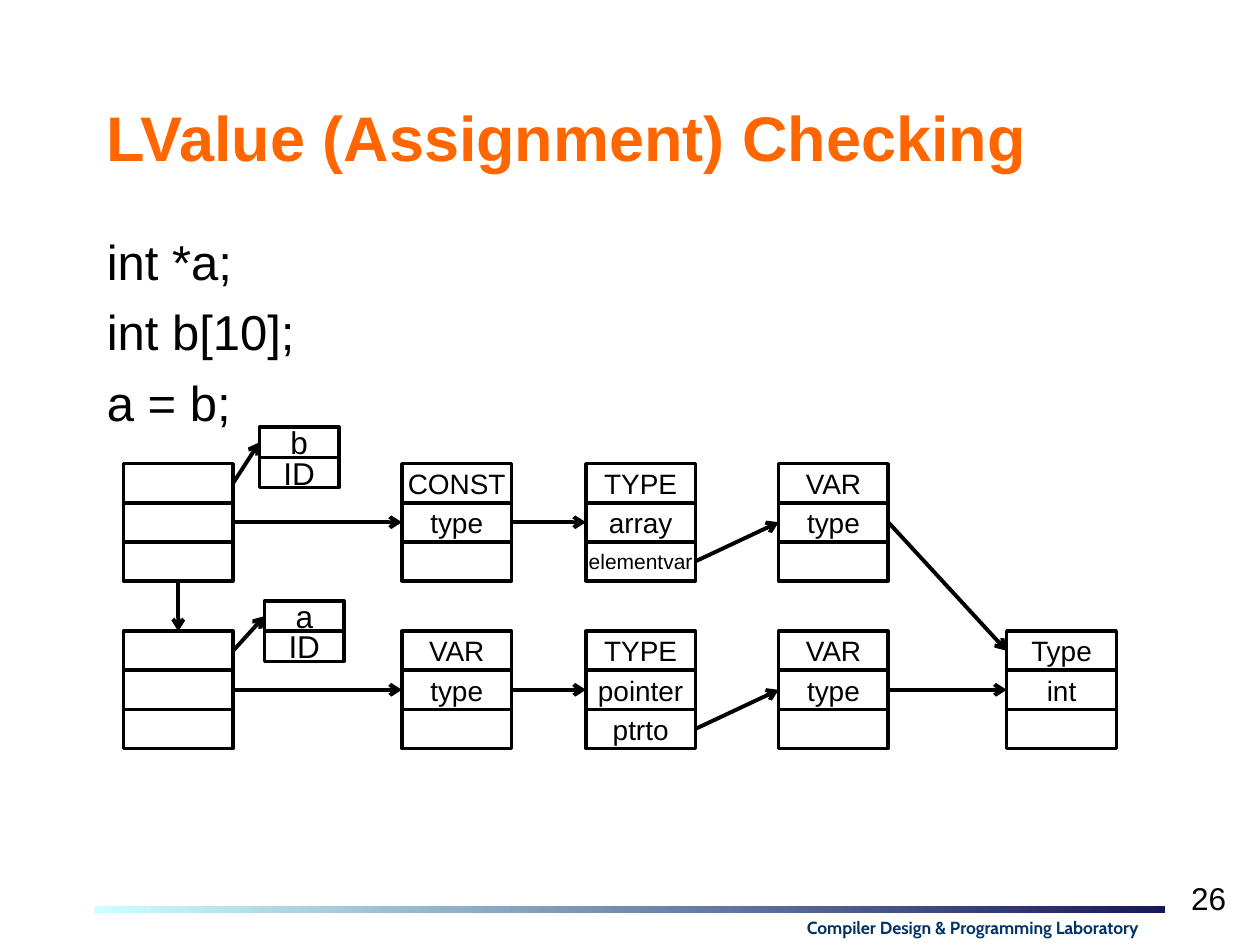
import pptx
import pptx.util
import pptx.dml.color
import pptx.enum.shapes
import pptx.enum.text
import lxml.etree

Inches, Pt = pptx.util.Inches, pptx.util.Pt
SHAPE = pptx.enum.shapes.MSO_SHAPE
ALIGN = pptx.enum.text.PP_ALIGN
ANCHOR = pptx.enum.text.MSO_ANCHOR

COLORS = {"ink": "000000", "paper": "FFFFFF", "title": "FF6600",
          "footer": "003366", "bar_start": "CCFFFF", "bar_end": "17175E"}

TITLE = "LValue (Assignment) Checking"
CODE = ["int *a;", "int b[10];", "a = b;"]
FOOTER = "Compiler Design & Programming Laboratory"
PAGE = "26"

NODE_W, NODE_ROW = 0.87, 0.31
NAME_W, NAME_ROW = 0.63, 0.24
COLUMNS = {"symbol": 0.98, "decl": 3.19, "type": 4.65, "element": 6.18, "base": 7.99}
ROWS = {"b": 3.68, "a": 5.01}
NODES = {
    ("b", "symbol"): ["", "", ""],
    ("b", "decl"): ["CONST", "type", ""],
    ("b", "type"): ["TYPE", "array", "elementvar"],
    ("b", "element"): ["VAR", "type", ""],
    ("a", "symbol"): ["", "", ""],
    ("a", "decl"): ["VAR", "type", ""],
    ("a", "type"): ["TYPE", "pointer", "ptrto"],
    ("a", "element"): ["VAR", "type", ""],
    ("a", "base"): ["Type", "int", ""],
}
NAMES = {"b": (2.06, 3.39), "a": (2.1, 4.77)}
SMALL_TEXT = {"elementvar": 12}

TOP, LEFT, BOTTOM, RIGHT = range(4)
ARROWS = [(("b", "symbol", 2), BOTTOM, ("a", "symbol", 0), TOP),
          (("b", "element", 1), RIGHT, ("a", "base", 0), LEFT),
          (("a", "element", 1), RIGHT, ("a", "base", 1), LEFT)]
for row in ROWS:
    ARROWS += [((row, "symbol", 0), RIGHT, (row, "name", 0), LEFT),
               ((row, "symbol", 1), RIGHT, (row, "decl", 1), LEFT),
               ((row, "decl", 1), RIGHT, (row, "type", 1), LEFT),
               ((row, "type", 2), RIGHT, (row, "element", 1), LEFT)]


def rgb(name):
    return pptx.dml.color.RGBColor.from_string(COLORS[name])


def write(sp, lines, size, color="ink", font="Arial", bold=False, align=ALIGN.LEFT,
          anchor=ANCHOR.TOP, wrap=True, before=0):
    tf = sp.text_frame
    tf.word_wrap = wrap
    tf.vertical_anchor = anchor
    for i, line in enumerate(lines):
        p = tf.add_paragraph() if i else tf.paragraphs[0]
        p.alignment = align
        p.space_before = Pt(before)
        r = p.add_run()
        r.text = line
        r.font.size = Pt(size)
        r.font.name = font
        r.font.bold = bold
        r.font.color.rgb = rgb(color)


def add_text(s, box, lines, size, **style):
    write(s.shapes.add_textbox(*map(Inches, box)), lines, size, **style)


def add_stack(s, left, top, width, height, labels, size):
    group = s.shapes.add_group_shape()
    cells = []
    for i, label in enumerate(labels):
        sp = group.shapes.add_shape(SHAPE.RECTANGLE, Inches(left), Inches(top + i * height),
                                    Inches(width), Inches(height))
        sp.shadow.inherit = False
        sp.fill.solid()
        sp.fill.fore_color.rgb = rgb("paper")
        sp.line.color.rgb = rgb("ink")
        sp.line.width = Pt(2)
        if label:
            write(sp, [label], SMALL_TEXT.get(label, size), align=ALIGN.CENTER,
                  anchor=ANCHOR.MIDDLE, wrap=False)
        cells.append(sp)
    return cells


def add_arrow(s, start, start_side, end, end_side):
    line = s.shapes.add_connector(pptx.enum.shapes.MSO_CONNECTOR.STRAIGHT, 0, 0, 0, 0)
    line.begin_connect(start, start_side)
    line.end_connect(end, end_side)
    line.line.color.rgb = rgb("ink")
    line.line.width = Pt(2.25)
    ns = pptx.oxml.ns.qn
    lxml.etree.SubElement(line.line._get_or_add_ln(), ns("a:tailEnd"), type="arrow")
    lxml.etree.SubElement(line._element.spPr, ns("a:effectLst"))


def main():
    prs = pptx.Presentation()
    prs.slide_width, prs.slide_height = Inches(10), Inches(7.5)
    s = prs.slides.add_slide(prs.slide_layouts[6])

    add_text(s, (9.33, 6.93, 0.5, 0.4), [PAGE], 18, align=ALIGN.RIGHT,
             anchor=ANCHOR.MIDDLE, wrap=False)
    bar = s.shapes.add_shape(SHAPE.RECTANGLE, *map(Inches, (0.75, 7.19, 8.5, 0.06)))
    bar.shadow.inherit = False
    bar.line.fill.background()
    bar.fill.gradient()
    bar.fill.gradient_angle = 0
    for stop, name in zip(bar.fill.gradient_stops, ("bar_start", "bar_end")):
        stop.color.rgb = rgb(name)
    add_text(s, (5.67, 7.23, 4.1, 0.27), [FOOTER], 10, color="footer", font="Cabin",
             bold=True, align=ALIGN.CENTER)
    add_text(s, (0.75, 0.67, 8.5, 0.83), [TITLE], 36, color="title", bold=True,
             anchor=ANCHOR.MIDDLE)
    add_text(s, (0.75, 1.79, 8.5, 5.33), CODE, 28, before=6.5)

    cells = {}
    for (row, column), labels in NODES.items():
        stack = add_stack(s, COLUMNS[column], ROWS[row], NODE_W, NODE_ROW, labels, 16)
        cells.update({(row, column, i): sp for i, sp in enumerate(stack)})
    for row, (left, top) in NAMES.items():
        stack = add_stack(s, left, top, NAME_W, NAME_ROW, [row, "ID"], 18)
        cells.update({(row, "name", i): sp for i, sp in enumerate(stack)})
    for start, start_side, end, end_side in ARROWS:
        add_arrow(s, cells[start], start_side, cells[end], end_side)

    prs.save("out.pptx")


if __name__ == "__main__":
    main()
